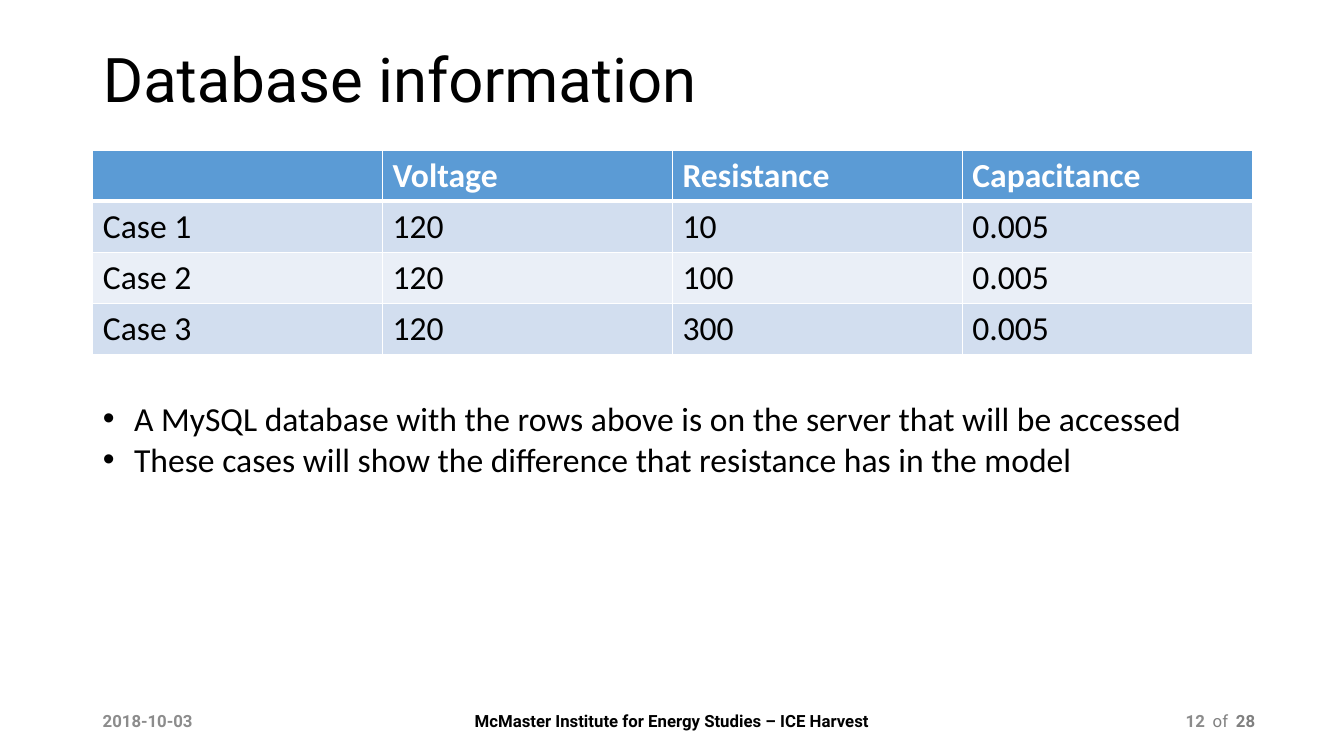
from lxml.etree import SubElement
from pptx import Presentation
from pptx.dml.color import RGBColor
from pptx.enum.text import MSO_AUTO_SIZE as AutoSize, MSO_VERTICAL_ANCHOR as Anchor, PP_ALIGN as Align
from pptx.oxml.ns import qn
from pptx.util import Pt

PX = 9144
BLACK, WHITE, GREY, LIGHT_GREY = "000000", "FFFFFF", "808080", "8C8C8C"
HEADER_FILL, BAND_FILLS = "5B9BD5", ("D2DEEF", "EAEFF7")
CASES = [
    ("", "Voltage", "Resistance", "Capacitance"),
    ("Case 1", "120", "10", "0.005"),
    ("Case 2", "120", "100", "0.005"),
    ("Case 3", "120", "300", "0.005"),
]
BULLETS = [
    "A MySQL database with the rows above is on the server that will be accessed",
    "These cases will show the difference that resistance has in the model",
]


def scale(box):
    """Turn a box in px into EMU."""
    return [length * PX for length in box]


def color(value):
    """Return the colour of a hex string."""
    return RGBColor.from_string(value)


def style(paragraph, name, size, value, bold=False, **formats):
    """Set the font and the paragraph formats."""
    for key, setting in formats.items():
        setattr(paragraph, key, setting)
    for key, setting in {"name": name, "size": Pt(size), "bold": bold}.items():
        setattr(paragraph.font, key, setting)
    paragraph.font.color.rgb = color(value)


def place(shape, box, anchor):
    """Move a text shape into its box and set its frame."""
    for key, length in zip(("left", "top", "width", "height"), scale(box)):
        setattr(shape, key, length)
    frame = shape.text_frame
    for key, setting in {"word_wrap": True, "auto_size": AutoSize.NONE, "vertical_anchor": anchor}.items():
        setattr(frame, key, setting)
    return frame


def add_title(slide, box):
    """Fill the title placeholder."""
    frame = place(slide.shapes.title, box, Anchor.MIDDLE)
    frame.text = "Database information"
    style(frame.paragraphs[0], "Roboto", 44, BLACK, alignment=Align.LEFT, line_spacing=0.9)


def add_borders(cell, bottom, top):
    """Draw white borders around a cell, widths in points."""
    properties = cell._tc.get_or_add_tcPr()
    for side, width in {"lnL": 1, "lnR": 1, "lnT": top, "lnB": bottom}.items():
        line = SubElement(properties, qn(f"a:{side}"), w=str(Pt(width)))
        SubElement(SubElement(line, qn("a:solidFill")), qn("a:srgbClr"), val=WHITE)


def add_case_table(slide, box):
    """Add the table of cases with a header row and banded rows."""
    table = slide.shapes.add_table(len(CASES), len(CASES[0]), *scale(box)).table
    table.horz_banding = False
    for row, values in enumerate(CASES):
        header = row == 0
        for column, value in enumerate(values):
            cell = table.cell(row, column)
            add_borders(cell, bottom=3 if header else 1, top=3 if row == 1 else 1)
            cell.fill.solid()
            cell.fill.fore_color.rgb = color(HEADER_FILL if header else BAND_FILLS[(row - 1) % 2])
            cell.text = value
            style(cell.text_frame.paragraphs[0], "Calibri", 24, WHITE if header else BLACK, header)


def add_bullets(slide, box):
    """Fill the body placeholder with the bulleted notes on the cases."""
    frame = place(slide.placeholders[1], box, Anchor.TOP)
    frame.text = "\n".join(BULLETS)
    for paragraph in frame.paragraphs:
        properties = paragraph._p.get_or_add_pPr()
        properties.set("marL", str(31 * PX))
        properties.set("indent", str(-31 * PX))
        SubElement(properties, qn("a:buFont"), typeface="Arial")
        SubElement(properties, qn("a:buChar"), char="•")
        style(paragraph, "Calibri", 24, BLACK, space_before=Pt(0))


def add_footer(slide, box):
    """Add the date, the institute and the page count along the bottom."""
    left, top, width, height = box
    right = left + width
    parts = [
        ("2018-10-03", left, 300, LIGHT_GREY, True, Align.LEFT),
        ("McMaster Institute for Energy Studies – ICE Harvest", left + 313, 523, BLACK, True, Align.CENTER),
        ("12", right - 354, 300, LIGHT_GREY, True, Align.RIGHT),
        ("of", right - 66, 50, GREY, False, Align.LEFT),
        ("28", right - 43, 43, GREY, True, Align.LEFT),
    ]
    for text, x, part_width, value, bold, alignment in parts:
        part_box = (x, top, part_width, height)
        frame = place(slide.shapes.add_textbox(*scale(part_box)), part_box, Anchor.MIDDLE)
        frame.text = text
        style(frame.paragraphs[0], "Roboto", 12, value, bold, alignment=alignment)


def main():
    """Build the slide and save it."""
    presentation = Presentation()
    presentation.slide_width, presentation.slide_height = scale((1333, 750))
    slide = presentation.slides.add_slide(presentation.slide_layouts[1])
    add_title(slide, (92, 14, 919, 136))
    add_case_table(slide, (92, 149, 1150, 200))
    add_bullets(slide, (92, 390, 1139, 91))
    add_footer(slide, (92, 695, 1167, 40))
    presentation.save("out.pptx")


if __name__ == "__main__":
    main()
